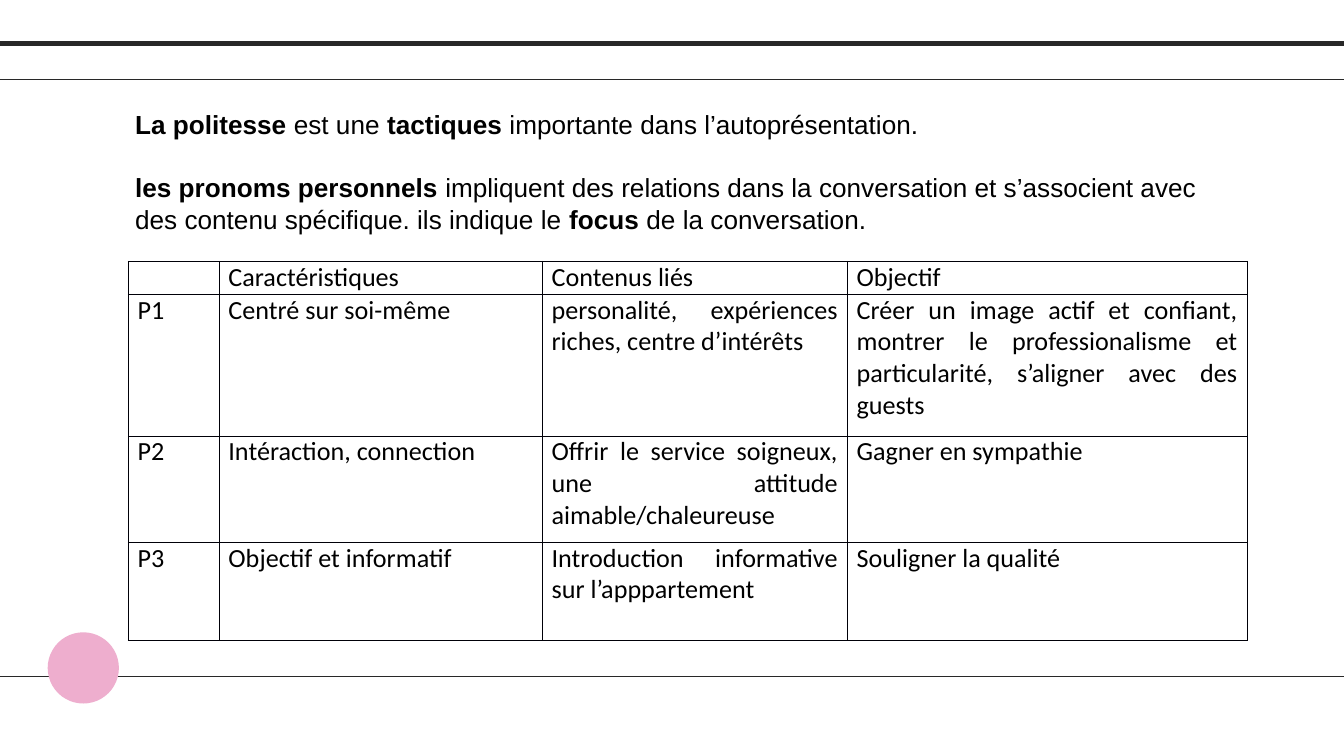
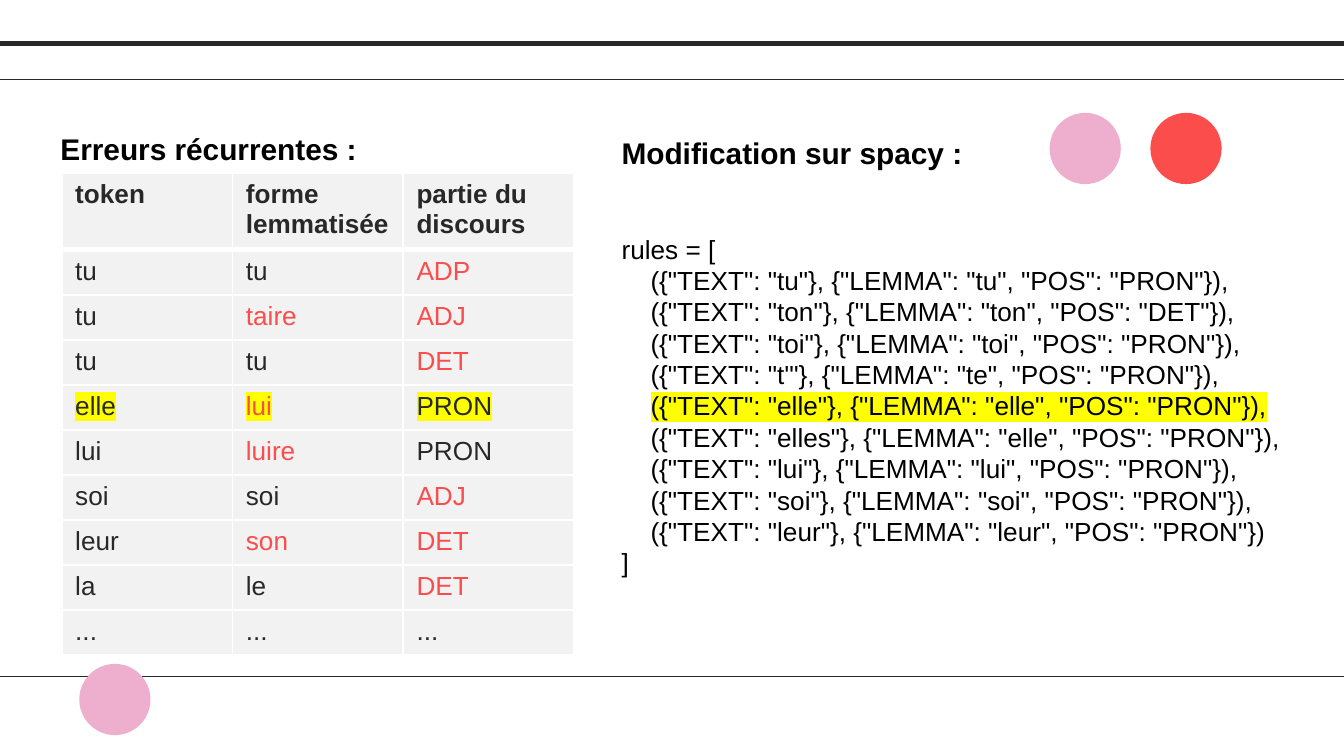
from lxml import etree
from pptx import Presentation
from pptx.dml.color import RGBColor
from pptx.enum.shapes import MSO_CONNECTOR, MSO_SHAPE
from pptx.enum.text import MSO_ANCHOR, MSO_AUTO_SIZE, PP_ALIGN
from pptx.oxml.ns import qn
from pptx.util import Pt

PX = 4572
SLIDE_W, SLIDE_H = 2000, 1125

INK = RGBColor(0x28, 0x28, 0x28)
BLACK = RGBColor(0x00, 0x00, 0x00)
WHITE = RGBColor(0xFF, 0xFF, 0xFF)
GRID = RGBColor(0x00, 0x00, 0x08)
PINK = RGBColor(0xEE, 0xAE, 0xCE)
RED = RGBColor(0xFA, 0x4D, 0x4C)
PALE = RGBColor(0xF2, 0xF2, 0xF2)
YELLOW = RGBColor(0xFF, 0xFF, 0x00)

LEFT, JUSTIFY = PP_ALIGN.LEFT, PP_ALIGN.JUSTIFY
TOP = MSO_ANCHOR.TOP
NO_FIT = MSO_AUTO_SIZE.NONE
STRAIGHT = MSO_CONNECTOR.STRAIGHT
OVAL = MSO_SHAPE.OVAL

BODY = {"size": Pt(14), "name": "Arial", "bold": False}
STRONG = {**BODY, "bold": True}
HEADING = {**STRONG, "size": Pt(16)}
GRID_TEXT = {**BODY, "name": "Calibri"}
FRAME_FORMAT = {"word_wrap": True, "auto_size": NO_FIT, "vertical_anchor": TOP,
                "margin_left": 20 * PX, "margin_right": 20 * PX,
                "margin_top": 10 * PX, "margin_bottom": 10 * PX}
LINE_FORMAT = {"alignment": LEFT, "line_spacing": 1.0, "space_after": Pt(0)}
BLANK_LINE = 16.8
CODE_INDENT = 43
DOT = 106

FRAME_RULES = [(65, 3), (118, 0.75), (1007, 0.75)]

POLITENESS = [("La politesse", STRONG), (" est une ", BODY), ("tactiques ", STRONG),
              ("importante dans l’autoprésentation.", BODY)]
PRONOUNS = [("les pronoms personnels", STRONG),
            (" impliquent des relations dans la conversation et s’associent avec "
             "des contenu spécifique. ils indique le ", BODY),
            ("focus ", STRONG), ("de la conversation.", BODY)]

PERSONS = [
    ("", "Caractéristiques", "Contenus liés", "Objectif"),
    ("P1", "Centré sur soi-même", "personalité, expériences riches, centre d’intérêts",
     "Créer un image actif et confiant, montrer le professionalisme et "
     "particularité, s’aligner avec des guests"),
    ("P2", "Intéraction, connection",
     "Offrir le service soigneux, une attitude aimable/chaleureuse",
     "Gagner en sympathie"),
    ("P3", "Objectif et informatif", "Introduction informative sur l’apppartement",
     "Souligner la qualité"),
]

ERRORS = [
    ("token", "forme lemmatisée", "partie du discours"),
    ("tu", "tu", "ADP"),
    ("tu", "taire", "ADJ"),
    ("tu", "tu", "DET"),
    ("elle", "lui", "PRON"),
    ("lui", "luire", "PRON"),
    ("soi", "soi", "ADJ"),
    ("leur", "son", "DET"),
    ("la", "le", "DET"),
    ("...", "...", "..."),
]
WRONG = [set(), {"taire", "lui", "luire", "son"}, {"ADP", "ADJ", "DET"}]
MARKED = "elle"

SPACY_RULES = [("tu", "tu", "PRON"), ("ton", "ton", "DET"), ("toi", "toi", "PRON"),
               ("t'", "te", "PRON"), ("elle", "elle", "PRON"),
               ("elles", "elle", "PRON"), ("lui", "lui", "PRON"),
               ("soi", "soi", "PRON"), ("leur", "leur", "PRON")]


def apply(target, formats):
    for attribute, value in formats.items():
        setattr(target, attribute, value)


def place(part, box):
    apply(part, dict(zip(("left", "top", "width", "height"), (v * PX for v in box))))


def add_run(paragraph, text, font_format, color=BLACK, marked=False):
    run = paragraph.add_run()
    run.text = text
    apply(run.font, font_format)
    run.font.color.rgb = color
    if marked:
        highlight = etree.Element(qn("a:highlight"))
        etree.SubElement(highlight, qn("a:srgbClr"), val=str(YELLOW))
        run.font._element.find(qn("a:solidFill")).addnext(highlight)


def fill_placeholder(placeholder, box, lines):
    place(placeholder, box)
    frame = placeholder.text_frame
    apply(frame, FRAME_FORMAT)
    for number, (runs, gap, indent) in enumerate(lines):
        paragraph = frame.add_paragraph() if number else frame.paragraphs[0]
        apply(paragraph, {**LINE_FORMAT, "space_before": Pt(gap)})
        properties = paragraph._p.get_or_add_pPr()
        properties.set("marL", str(indent * PX))
        properties.set("indent", "0")
        etree.SubElement(properties, qn("a:buNone"))
        for run in runs:
            add_run(paragraph, *run)


def add_dot(slide, x, y, color):
    dot = slide.shapes.add_shape(OVAL, x * PX, y * PX, DOT * PX, DOT * PX)
    dot.shadow.inherit = False
    dot.fill.solid()
    dot.fill.fore_color.rgb = color
    dot.line.fill.background()


def add_grid(slide, x, y, widths, heights):
    table = slide.shapes.add_table(len(heights), len(widths), x * PX, y * PX,
                                   sum(widths) * PX, sum(heights) * PX).table
    apply(table, {"first_row": False, "horz_banding": False})
    for column, width in zip(table.columns, widths):
        column.width = width * PX
    for row, height in zip(table.rows, heights):
        row.height = height * PX
    return table


def set_borders(cell, color, left=1, right=1, top=1, bottom=1):
    properties = cell._tc.get_or_add_tcPr()
    for side, points in (("L", left), ("R", right), ("T", top), ("B", bottom)):
        border = etree.SubElement(properties, qn(f"a:ln{side}"), w=str(Pt(points)))
        paint = etree.SubElement(border, qn("a:solidFill"))
        etree.SubElement(paint, qn("a:srgbClr"), val=str(color))


def add_persons_table(slide, x, y):
    table = add_grid(slide, x, y, (135, 481, 454, 595), (49, 211, 158, 147))
    margins = {"margin_left": 14 * PX, "margin_right": 14 * PX,
               "margin_top": 0, "margin_bottom": 0}
    for r, texts in enumerate(PERSONS):
        for c, text in enumerate(texts):
            cell = table.cell(r, c)
            apply(cell, margins)
            set_borders(cell, GRID, 0.5, 0.5, 0.5, 0.5)
            cell.fill.background()
            paragraph = cell.text_frame.paragraphs[0]
            paragraph.alignment = JUSTIFY
            if text:
                add_run(paragraph, text, GRID_TEXT)
            else:
                end = etree.SubElement(paragraph._p, qn("a:endParaRPr"), sz="1400")
                etree.SubElement(end, qn("a:latin"), typeface="Calibri")


def add_errors_table(slide, x, y):
    table = add_grid(slide, x, y, [254] * 3, [114] + [67] * 9)
    for r, texts in enumerate(ERRORS):
        for c, text in enumerate(texts):
            cell = table.cell(r, c)
            set_borders(cell, WHITE, top=3 if r == 1 else 1, bottom=3 if r == 0 else 1)
            cell.fill.solid()
            cell.fill.fore_color.rgb = PALE
            add_run(cell.text_frame.paragraphs[0], text, BODY if r else STRONG,
                    RED if text in WRONG[c] else INK, texts[0] == MARKED)


def add_code(placeholder, box):
    lines = [([("Modification sur spacy :", HEADING)], 0, 0),
             ([("rules = [", BODY)], 2 * BLANK_LINE, 0)]
    for number, (token, lemma, pos) in enumerate(SPACY_RULES, 1):
        comma = "," if number < len(SPACY_RULES) else ""
        rule = f'({{"TEXT": "{token}"}}, {{"LEMMA": "{lemma}", "POS": "{pos}"}}){comma}'
        lines.append(([(rule, BODY, BLACK, token == MARKED)], 0, CODE_INDENT))
    lines.append(([("]", BODY)], 0, 0))
    fill_placeholder(placeholder, box, lines)


def add_frame_rules(slide, layout):
    for y, weight in FRAME_RULES:
        rule = slide.shapes.add_connector(STRAIGHT, 0, y * PX, SLIDE_W * PX, y * PX)
        rule.line.color.rgb = INK
        rule.line.width = Pt(weight)
        etree.SubElement(rule.element.spPr, qn("a:effectLst"))
        layout.shapes.element.append(rule.element)


def build_pronouns_slide(slide):
    title, body = slide.placeholders
    title.element.getparent().remove(title.element)
    add_dot(slide, 71, 941, PINK)
    add_persons_table(slide, 191, 389)
    fill_placeholder(body, (181, 152, 1624, 208),
                     [(POLITENESS, 0, 0), (PRONOUNS, BLANK_LINE, 0)])


def build_errors_slide(slide):
    title, body = slide.placeholders
    for x, y, color in ((118, 988, PINK), (1562, 168, PINK), (1712, 168, RED)):
        add_dot(slide, x, y, color)
    add_code(body, (905, 190, 1054, 682))
    fill_placeholder(title, (70, 184, 666, 74),
                     [([("Erreurs récurrentes :", HEADING)], 0, 0)])
    add_errors_table(slide, 92, 258)


def main():
    prs = Presentation()
    apply(prs, {"slide_width": SLIDE_W * PX, "slide_height": SLIDE_H * PX})
    layout = prs.slide_layouts[1]
    pronouns, errors = (prs.slides.add_slide(layout) for _ in range(2))
    add_frame_rules(pronouns, layout)
    build_pronouns_slide(pronouns)
    build_errors_slide(errors)
    prs.save("out.pptx")


if __name__ == "__main__":
    main()
